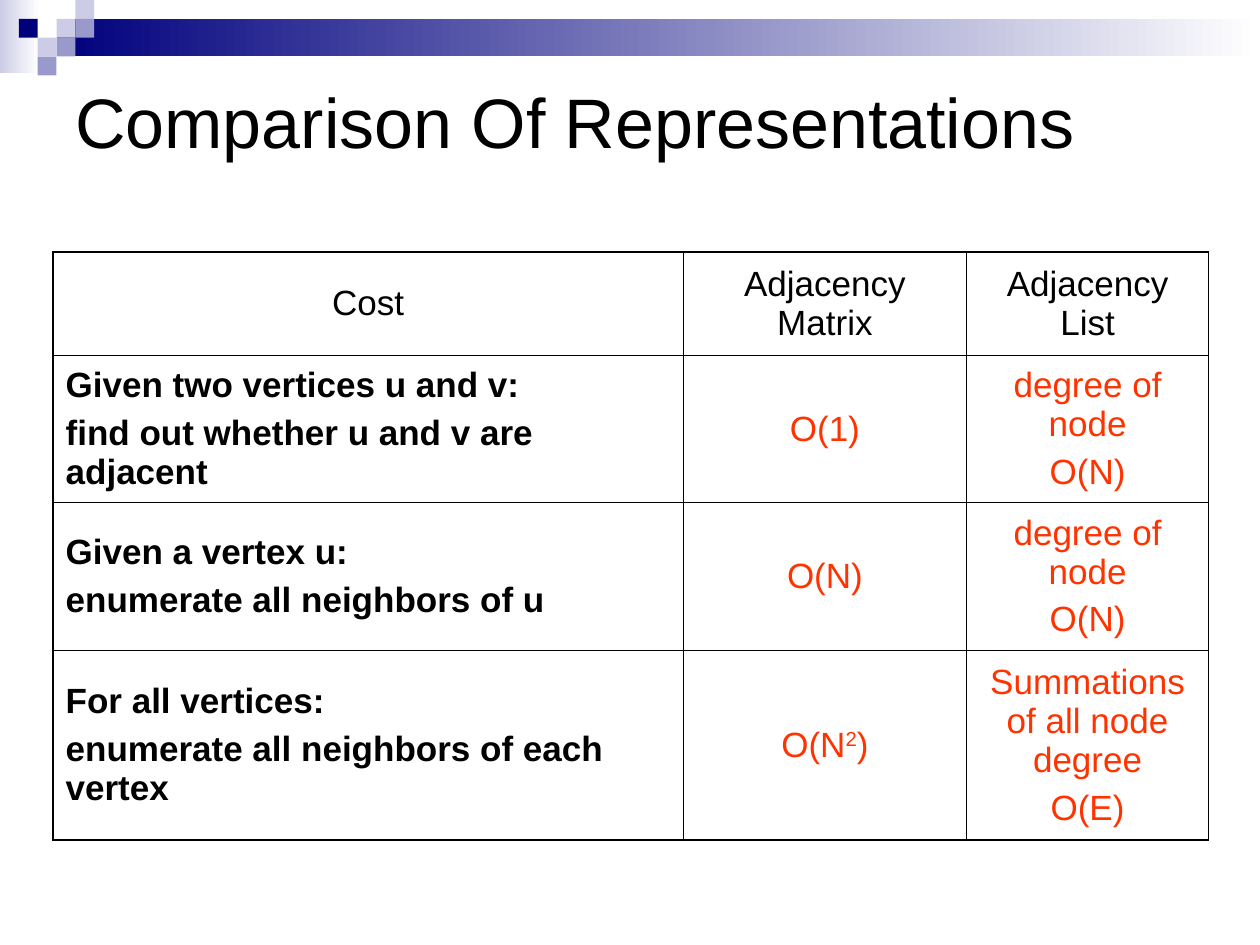
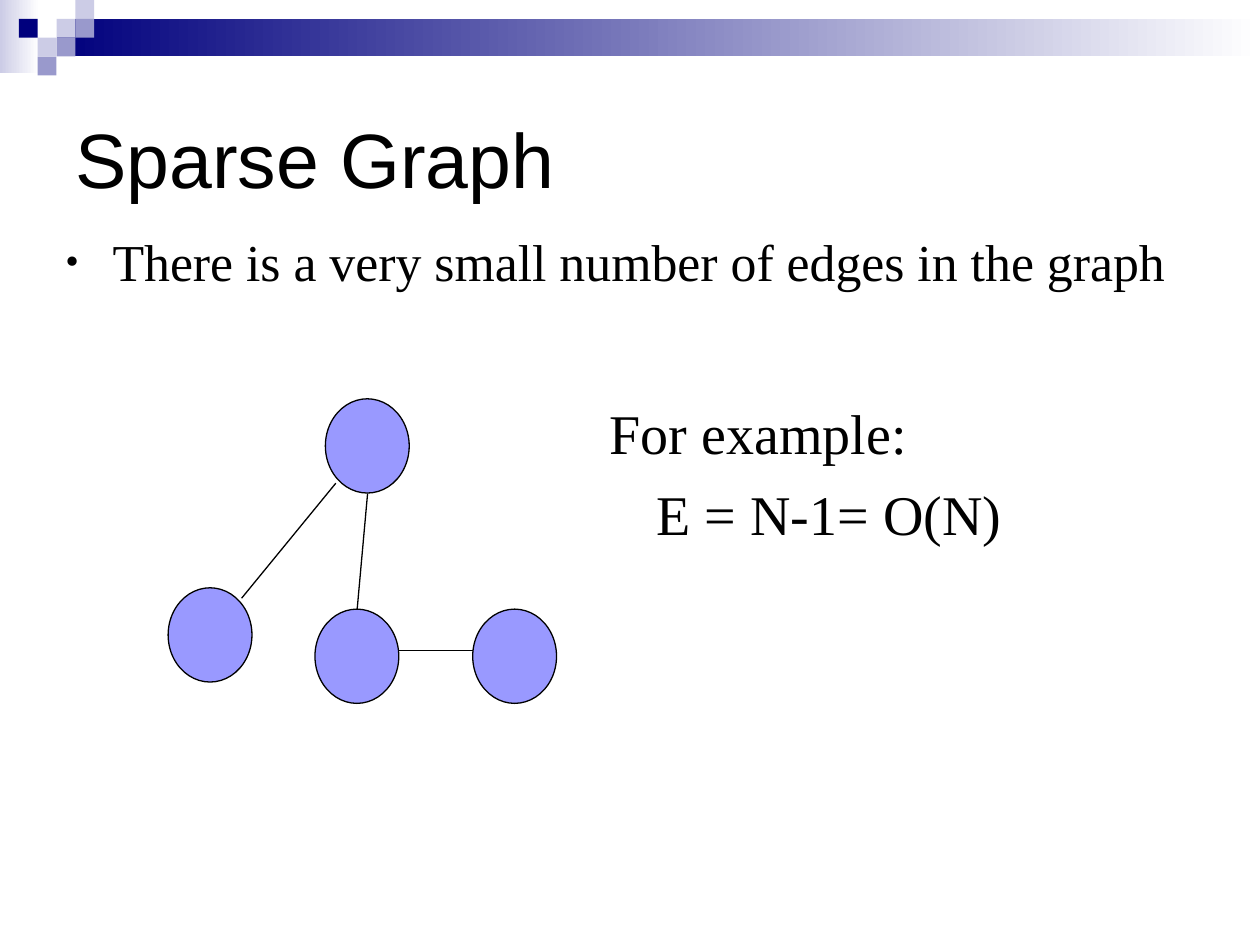
from dataclasses import dataclass

from lxml import etree
from pptx import Presentation
from pptx import util as u
from pptx.dml import color as dml
from pptx.enum import shapes, text
from pptx.oxml import ns

BLACK, NAVY, LAVENDER, VIOLET = "000000", "00007D", "CCCCE6", "9999CC"
NODE_FILL, ANSWER = "9999FF", "FF3300"
SANS, SERIF = "Arial", "Times New Roman"
SQUARE = 0.38
THICK, THIN = 1.08, 0.45
NODE_WIDTH, NODE_HEIGHT = 1.69, 1.9
INDENT = 0.95


@dataclass(frozen=True)
class Box:
    left: float
    top: float
    width: float
    height: float

    def lengths(self) -> tuple:
        return tuple(u.Cm(v) for v in (self.left, self.top, self.width, self.height))


@dataclass(frozen=True)
class Band:
    box: Box
    start: str
    end: str = "FFFFFF"


@dataclass(frozen=True)
class Square:
    column: int
    row: int
    fill: str


@dataclass(frozen=True)
class Edge:
    start: tuple[float, float]
    end: tuple[float, float]


@dataclass(frozen=True)
class Style:
    size: float
    font: str = SANS
    color: str = BLACK
    bold: bool = False


BANDS = [
    Band(Box(0, 0, 0.79, 1.47), LAVENDER),
    Band(Box(1.14, 0.38, 24.26, 0.76), NAVY),
]
SQUARES = [
    Square(3, 1, LAVENDER), Square(4, 0, LAVENDER), Square(4, 1, VIOLET),
    Square(2, 2, LAVENDER), Square(1, 1, NAVY), Square(3, 2, VIOLET),
    Square(2, 3, VIOLET),
]
COLUMN_WIDTHS = [12.7, 5.72, 4.87]
ROW_HEIGHTS = [2.08, 2.97, 2.97, 3.83]
COST_ROWS = [
    ["Cost", "Adjacency Matrix", "Adjacency List"],
    ["Given two vertices u and v:\nfind out whether u and v are adjacent",
     "O(1)", "degree of node\nO(N)"],
    ["Given a vertex u:\nenumerate all neighbors of u", "O(N)", "degree of node\nO(N)"],
    ["For all vertices:\nenumerate all neighbors of each vertex",
     "O(N^2^)", "Summations of all node degree\nO(E)"],
]
NODES = [(6.56, 8.04), (6.35, 12.28), (3.39, 11.85), (9.53, 12.28)]
EDGES = [
    Edge((6.77, 9.74), (4.87, 12.06)),
    Edge((7.41, 9.95), (7.2, 12.28)),
    Edge((8.04, 13.12), (9.53, 13.12)),
]


def rgb(value: str) -> dml.RGBColor:
    return dml.RGBColor.from_string(value)


def add_xml(parent, tag: str, **attributes: str):
    return etree.SubElement(parent, ns.qn(tag), attributes)


def format_runs(paragraph, style: Style) -> None:
    for run in paragraph.runs:
        run.font.size = u.Pt(style.size)
        run.font.name = style.font
        run.font.bold = style.bold
        run.font.color.rgb = rgb(style.color)


def add_shape(slide, kind, box: Box):
    shape = slide.shapes.add_shape(kind, *box.lengths())
    shape.shadow.inherit = False
    return shape


def add_text(slide, box: Box, content: str, style: Style, space: float = 0,
             anchor=text.MSO_ANCHOR.TOP):
    shape = slide.shapes.add_textbox(*box.lengths())
    text_frame = shape.text_frame
    text_frame.word_wrap = True
    text_frame.vertical_anchor = anchor
    text_frame.text = content
    for paragraph in text_frame.paragraphs:
        paragraph.space_before = u.Pt(space)
        format_runs(paragraph, style)
    return text_frame


def set_indent(paragraph, first_line: float = 0):
    properties = paragraph._p.get_or_add_pPr()
    properties.set("marL", str(u.Cm(INDENT)))
    properties.set("indent", str(u.Cm(first_line)))
    return properties


def add_slide(presentation, title: str, box: Box, size: float):
    slide = presentation.slides.add_slide(presentation.slide_layouts[6])
    for band in BANDS:
        shape = add_shape(slide, shapes.MSO_SHAPE.RECTANGLE, band.box)
        shape.line.fill.background()
        shape.fill.gradient()
        shape.fill.gradient_angle = 0
        for stop, color in zip(shape.fill.gradient_stops, (band.start, band.end)):
            stop.color.rgb = rgb(color)
    for square in SQUARES:
        place = Box(square.column * SQUARE, square.row * SQUARE, SQUARE, SQUARE)
        shape = add_shape(slide, shapes.MSO_SHAPE.RECTANGLE, place)
        shape.line.fill.background()
        shape.fill.solid()
        shape.fill.fore_color.rgb = rgb(square.fill)
    add_text(slide, box, title, Style(size), anchor=text.MSO_ANCHOR.MIDDLE)
    return slide


def set_borders(cell, row: int, column: int) -> None:
    properties = cell._tc.get_or_add_tcPr()
    outer = {
        "a:lnL": column == 0,
        "a:lnR": column == len(COLUMN_WIDTHS) - 1,
        "a:lnT": row == 0,
        "a:lnB": row == len(ROW_HEIGHTS) - 1,
    }
    for position, (tag, is_outer) in enumerate(outer.items()):
        line = add_xml(properties, tag, w=str(u.Pt(THICK if is_outer else THIN)))
        add_xml(add_xml(line, "a:solidFill"), "a:srgbClr", val=BLACK)
        properties.insert(position, line)


def fill_cell(cell, content: str, row: int, column: int) -> None:
    is_question = row > 0 and column == 0
    style = Style(20, color=ANSWER if row and column else BLACK, bold=is_question)
    cell.fill.background()
    cell.vertical_anchor = text.MSO_ANCHOR.MIDDLE
    cell.text_frame.text = content
    for paragraph in cell.text_frame.paragraphs:
        if "^" in paragraph.text:
            parts = paragraph.text.split("^")
            paragraph.clear()
            for index, part in enumerate(parts):
                run = paragraph.add_run()
                run.text = part
                if index % 2:
                    run.font._element.set("baseline", "30000")
        paragraph.alignment = text.PP_ALIGN.LEFT if is_question else text.PP_ALIGN.CENTER
        paragraph.space_before = u.Pt(5)
        format_runs(paragraph, style)
    set_borders(cell, row, column)


def add_cost_table(slide) -> None:
    box = Box(1.07, 5.08, sum(COLUMN_WIDTHS), sum(ROW_HEIGHTS))
    table = slide.shapes.add_table(
        len(ROW_HEIGHTS), len(COLUMN_WIDTHS), *box.lengths()).table
    table.first_row = table.horz_banding = False
    for column, width in zip(table.columns, COLUMN_WIDTHS):
        column.width = u.Cm(width)
    for row, height in zip(table.rows, ROW_HEIGHTS):
        row.height = u.Cm(height)
    for row, contents in enumerate(COST_ROWS):
        for column, content in enumerate(contents):
            fill_cell(table.cell(row, column), content, row, column)


def add_graph(slide) -> None:
    for left, top in NODES:
        node = add_shape(slide, shapes.MSO_SHAPE.OVAL,
                         Box(left, top, NODE_WIDTH, NODE_HEIGHT))
        node.fill.solid()
        node.fill.fore_color.rgb = rgb(NODE_FILL)
        node.line.color.rgb = rgb(BLACK)
        node.line.width = u.Pt(0.75)
    for edge in EDGES:
        ends = [u.Cm(value) for value in edge.start + edge.end]
        connector = slide.shapes.add_connector(shapes.MSO_CONNECTOR.STRAIGHT, *ends)
        connector.line.color.rgb = rgb(BLACK)
        connector.line.width = u.Pt(0.75)
        add_xml(connector._element.spPr, "a:effectLst")


def add_sparse_notes(slide) -> None:
    example = add_text(slide, Box(12.04, 7.9, 10.31, 3.78),
                       "For example:\nE = N-1= O(N)", Style(32, SERIF), space=8)
    set_indent(example.paragraphs[1])

    statement = add_text(slide, Box(1.07, 4.65, 23.29, 2.34),
                         "There is a very small number of edges in the graph",
                         Style(29.6, SERIF), space=8)
    paragraph = statement.paragraphs[0]
    paragraph.line_spacing = 0.9
    properties = set_indent(paragraph, -INDENT)
    add_xml(add_xml(properties, "a:buClr"), "a:srgbClr", val=BLACK)
    add_xml(properties, "a:buSzPct", val="75000")
    add_xml(properties, "a:buFont", typeface=SERIF)
    add_xml(properties, "a:buChar", char="•")


def main() -> None:
    """Build the two slides on graph representations and save them."""
    presentation = Presentation()
    presentation.slide_width, presentation.slide_height = u.Cm(25.4), u.Cm(19.05)

    comparison = add_slide(presentation, "Comparison Of Representations",
                           Box(1.27, 0.84, 23.29, 3.18), 40)
    add_cost_table(comparison)

    sparse = add_slide(presentation, "Sparse Graph", Box(1.27, 1.27, 22.86, 3.81), 44)
    add_graph(sparse)
    add_sparse_notes(sparse)

    presentation.save("out.pptx")


if __name__ == "__main__":
    main()
